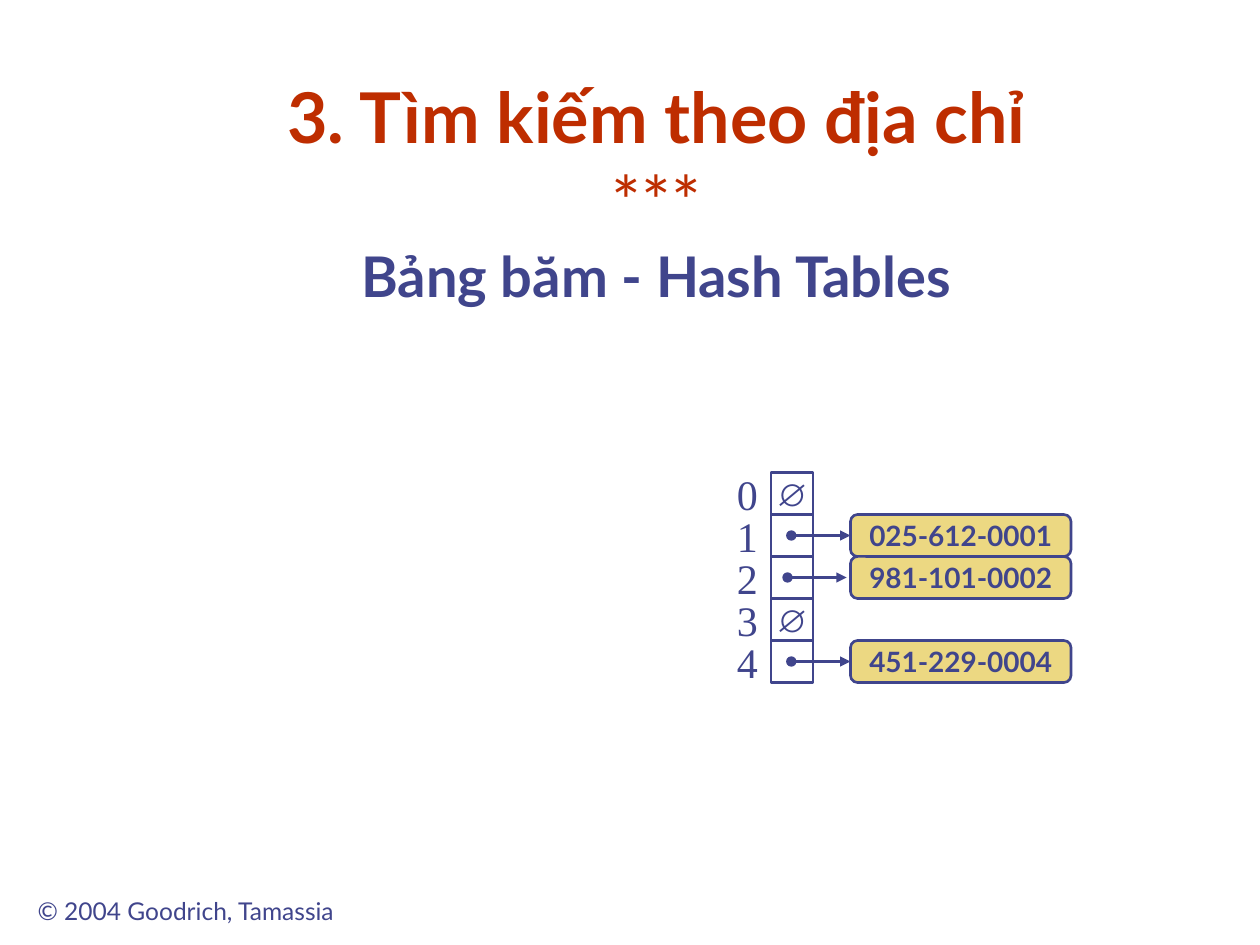
from copy import deepcopy
from dataclasses import dataclass

from pptx import Presentation
from pptx.dml.color import RGBColor as RGB
from pptx.enum.shapes import MSO_CONNECTOR as Link, MSO_SHAPE as Kind
from pptx.enum.text import MSO_ANCHOR as Anchor, MSO_AUTO_SIZE as Fit, PP_ALIGN as Align
from pptx.oxml.ns import qn
from pptx.util import Inches, Pt


@dataclass(frozen=True)
class Theme:
    ink: RGB = RGB(0x40, 0x45, 0x8C)
    red: RGB = RGB(0xBE, 0x2D, 0x00)
    gold: RGB = RGB(0xEC, 0xD8, 0x82)
    sans: str = "Lato"
    serif: str = "Times New Roman"
    sign: str = "Arial"
    head: int = 40
    sub: int = 32
    digit: int = 24
    null: int = 18
    key: int = 16
    foot: int = 14
    line: float = 1.5


class Page:
    def __init__(self, deck, theme):
        self.theme = theme
        self.slide = deck.slides.add_slide(deck.slide_layouts[5])

    def run(self, para, text, size, font, color=None, bold=False):
        run = para.add_run()
        run.text = text
        run.font.size = Pt(size)
        run.font.name = font
        run.font.bold = bold
        run.font.color.rgb = color or self.theme.ink
        return run

    def title(self, box, lines):
        shape = self.slide.shapes.title
        shape.left, shape.top, shape.width, shape.height = map(Inches, box)
        frame = shape.text_frame
        frame.auto_size = Fit.NONE
        frame.word_wrap = True
        frame.vertical_anchor = Anchor.BOTTOM
        para = frame.paragraphs[0]
        para.alignment = Align.CENTER
        for row, (text, size, color, bold) in enumerate(lines):
            run = self.run(para, text, size, self.theme.sans, color, bold)
            if row < len(lines) - 1:
                para.add_line_break()
                para._p.findall(qn("a:br"))[-1].append(deepcopy(run._r.rPr))

    def label(self, box, text, size, font):
        shape = self.slide.shapes.add_textbox(*map(Inches, box))
        frame = shape.text_frame
        frame.word_wrap = False
        frame.auto_size = Fit.SHAPE_TO_FIT_TEXT
        para = frame.paragraphs[0]
        para.alignment = Align.CENTER
        self.run(para, text, size, font)

    def block(self, kind, box, fill=None):
        shape = self.slide.shapes.add_shape(kind, *map(Inches, box))
        shape.shadow.inherit = False
        if fill is None:
            shape.fill.background()
        else:
            shape.fill.solid()
            shape.fill.fore_color.rgb = fill
        shape.line.color.rgb = self.theme.ink
        shape.line.width = Pt(self.theme.line)
        return shape

    def letter(self, shape, text, size, font, bold=False):
        frame = shape.text_frame
        frame.word_wrap = False
        frame.vertical_anchor = Anchor.MIDDLE
        para = frame.paragraphs[0]
        para.alignment = Align.CENTER
        self.run(para, text, size, font, bold=bold)

    def cell(self, box, null):
        shape = self.block(Kind.RECTANGLE, box)
        if null:
            self.letter(shape, "∅", self.theme.null, self.theme.sign)

    def entry(self, box, text):
        shape = self.block(Kind.ROUNDED_RECTANGLE, box, self.theme.gold)
        shape.adjustments[0] = 0.17
        self.letter(shape, text, self.theme.key, self.theme.sans, True)

    def arrow(self, left, right, y):
        ends = map(Inches, (left, y, right, y))
        link = self.slide.shapes.add_connector(Link.STRAIGHT, *ends)
        link.line.color.rgb = self.theme.ink
        link.line.width = Pt(self.theme.line)
        line = link.line._get_or_add_ln()
        for tag, form in (("a:headEnd", "oval"), ("a:tailEnd", "triangle")):
            line.append(line.makeelement(qn(tag), {"type": form}))
        props = link._element.spPr
        props.append(props.makeelement(qn("a:effectLst"), {}))


def main():
    deck = Presentation()
    deck.slide_width, deck.slide_height = Inches(10), Inches(7.5)
    theme = Theme()
    page = Page(deck, theme)

    page.label((0.12, 7.06, 2.71, 0.34), "© 2004 Goodrich, Tamassia", theme.foot, theme.sans)
    page.title((1, 0.58, 8.42, 1.92), [
        ("3. Tìm kiếm theo địa chỉ", theme.head, theme.red, True),
        ("***", theme.head, theme.red, False),
        ("Bảng băm - Hash Tables", theme.sub, theme.ink, True),
    ])

    keys = [None, "025-612-0001", "981-101-0002", None, "451-229-0004"]
    shifts = {2: -0.03}
    top, step = 3.75, 1 / 3
    for slot, key in enumerate(keys):
        y = top + slot * step
        page.cell((6.12, y, step, step), key is None)
        page.label((5.75, y - 0.08, 0.36, 0.5), str(slot), theme.digit, theme.serif)
        if key:
            shift = shifts.get(slot, 0)
            page.entry((6.75, y, 1.75, step), key)
            page.arrow(6.28 + shift, 6.75 + shift, y + step / 2)

    deck.save("out.pptx")


if __name__ == "__main__":
    main()
